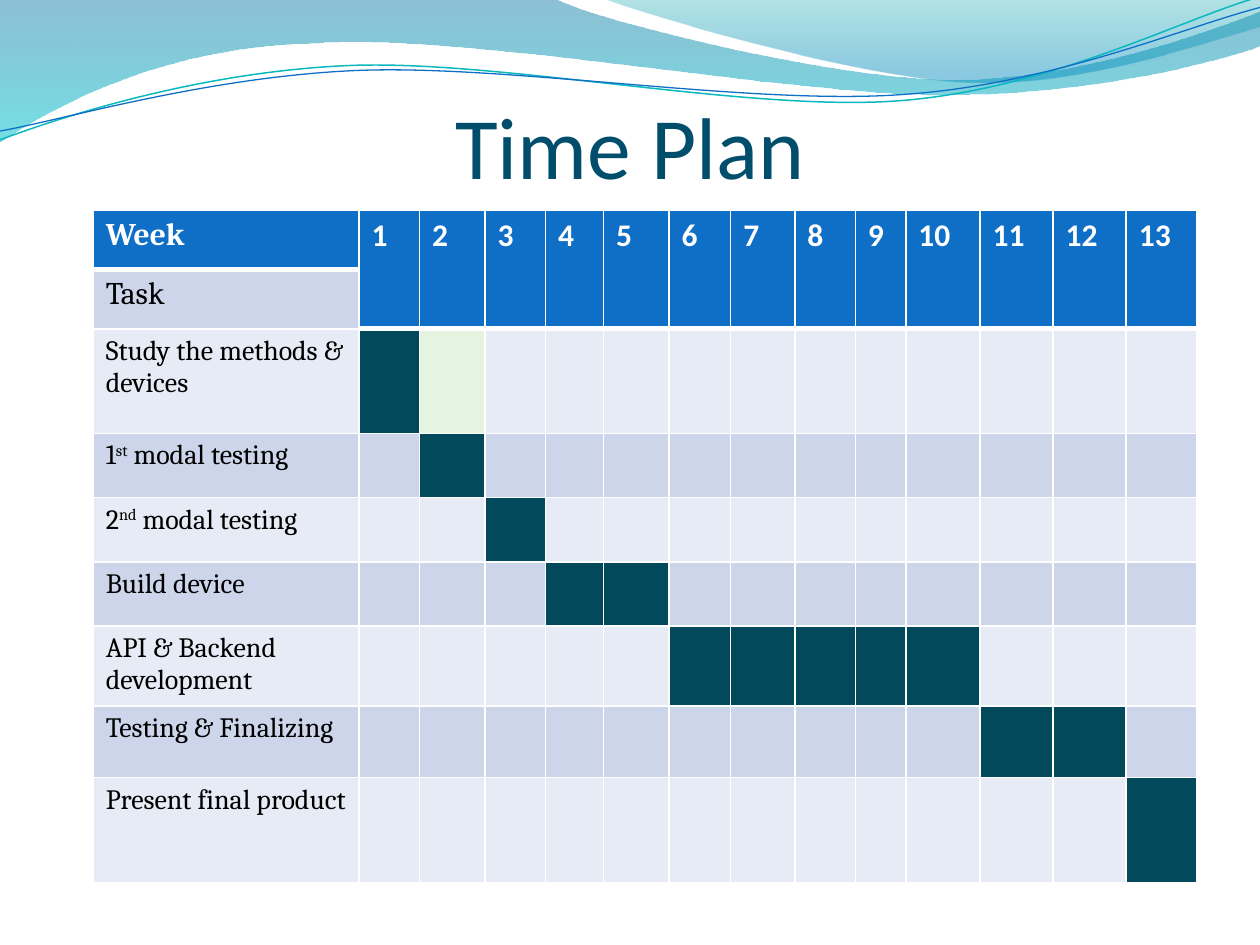
"""Build a project time plan slide with a Gantt-style table under a wave header."""
from math import cos, radians, sin

from lxml import etree
from pptx import Presentation
from pptx.dml.color import RGBColor
from pptx.enum.text import MSO_ANCHOR as Anchor, PP_ALIGN as Align
from pptx.oxml.ns import qn
from pptx.util import Inches, Pt

WHITE = RGBColor(0xFF, 0xFF, 0xFF)
BLACK = RGBColor(0x00, 0x00, 0x00)
TITLE_BLUE = RGBColor(0x00, 0x4E, 0x6C)
HEADER_BLUE = RGBColor(0x0F, 0x6F, 0xC6)
BAR_TEAL = RGBColor(0x03, 0x49, 0x5C)
PALE_GREEN = RGBColor(0xE5, 0xF4, 0xE0)
BAND_DARK = RGBColor(0xCC, 0xD5, 0xEA)
BAND_LIGHT = RGBColor(0xE7, 0xEB, 0xF5)
WAVE_BLUE = RGBColor(0x00, 0x74, 0xA1)
WAVE_CYAN = RGBColor(0x00, 0xC6, 0xCF)
WAVE_TEAL = RGBColor(0x00, 0xA1, 0xA9)
WAVE_SKY = RGBColor(0x00, 0x8B, 0xBF)
LINE_TEAL = RGBColor(0x0A, 0xB8, 0xBF)
TILT = 2.7

presentation = Presentation()
presentation.slide_width = Inches(10)
presentation.slide_height = Inches(7.5)
slide = presentation.slides.add_slide(presentation.slide_layouts[6])


def add_wave(segments, close):
    """Draw straight (2 numbers) and cubic (6 numbers) segments as one outline."""
    vertices = [
        (Inches(segment[i]), Inches(segment[i + 1]))
        for segment in segments for i in range(0, len(segment), 2)
    ]
    builder = slide.shapes.build_freeform(*vertices[0])
    builder.add_line_segments(vertices[1:], close=close)
    shape = builder.convert_to_shape()
    shape.shadow.inherit = False
    lines = iter(list(shape.element.spPr.iter(qn("a:lnTo"))))
    for segment in segments[1:]:
        line = next(lines)
        if len(segment) == 6:
            curve = etree.Element(qn("a:cubicBezTo"))
            line.addprevious(curve)
            for part in (line, next(lines), next(lines)):
                curve.append(part[0])
                part.getparent().remove(part)
    return shape


def add_run(paragraph, text, size, font, color, bold=False):
    run = paragraph.add_run()
    run.text = text
    run.font.size = Pt(size)
    run.font.name = font
    run.font.color.rgb = color
    run.font.bold = bold
    return run


wave_bands = [
    ([(0, 0), (4.4, -0.01), (4.76, 0.17, 6.64, 0.63, 7.58, 0.63),
      (8.53, 0.63, 9.58, 0.26, 10, 0.09), (10.01, 0.36),
      (9.83, 0.44, 8.7, 0.76, 7.46, 0.75), (6.22, 0.75, 3.82, 0.28, 2.57, 0.34),
      (1.29, 0.36, 0.46, 0.83, -0.01, 1.13), (0, 0)],
     [(0, WAVE_BLUE, 45), (1, WAVE_CYAN, 55)]),
    ([(4.79, -0.01), (5.09, 0.11, 6.82, 0.62, 7.69, 0.65),
      (8.56, 0.69, 9.61, 0.32, 10, 0.21), (10, 0), (4.79, -0.01)],
     [(0, WAVE_TEAL, 30), (0.8, WAVE_SKY, 45)]),
]
for segments, stops in wave_bands:
    band = add_wave(segments, True)
    band.line.fill.background()
    band.fill.gradient()
    band.fill.gradient_angle = 270
    for stop, (position, color, opacity) in zip(band.fill.gradient_stops, stops):
        stop.position = position
        stop.color.rgb = color
    color_elements = band.element.spPr.iter(qn("a:srgbClr"))
    for element, (position, color, opacity) in zip(color_elements, stops):
        etree.SubElement(element, qn("a:alpha"), val=str(opacity * 1000))

wave_lines = [
    ([(0, 1.11), (0.48, 0.93, 1.58, 0.57, 2.77, 0.52),
      (3.95, 0.47, 5.93, 0.89, 7.13, 0.8), (8.33, 0.71, 9.38, 0.15, 9.98, -0.02)],
     4.99, 0.58, LINE_TEAL, 0.85),
    ([(0, 1.04), (0.47, 0.96, 1.64, 0.61, 2.83, 0.56),
      (4.03, 0.51, 5.97, 0.84, 7.17, 0.75), (8.36, 0.67, 9.41, 0.21, 10, 0.06)],
     5, 0.59, HEADER_BLUE, 0.75),
]
cosine, sine = cos(radians(TILT)), sin(radians(TILT))
for segments, center_x, center_y, color, width in wave_lines:
    level_segments = []
    for segment in segments:
        level = []
        for x, y in zip(segment[::2], segment[1::2]):
            dx, dy = x - center_x, y - center_y
            level += [center_x + dx * cosine - dy * sine,
                      center_y + dx * sine + dy * cosine]
        level_segments.append(level)
    curve = add_wave(level_segments, False)
    curve.rotation = 360 - TILT
    curve.fill.background()
    curve.line.color.rgb = color
    curve.line.width = Pt(width)

title = slide.shapes.add_textbox(Inches(0.5), Inches(0.31), Inches(9), Inches(1.25))
title_frame = title.text_frame
title_frame.word_wrap = True
title_frame.vertical_anchor = Anchor.BOTTOM
title_frame.margin_left = title_frame.margin_right = title_frame.margin_bottom = 0
title_frame.paragraphs[0].alignment = Align.CENTER
add_run(title_frame.paragraphs[0], "Time Plan", 50, "Calibri", TITLE_BLUE)

column_widths = [2.11, 0.48, 0.52, 0.48, 0.46, 0.52, 0.49,
                 0.51, 0.48, 0.4, 0.59, 0.58, 0.58, 0.56]
row_heights = [0.47, 0.47, 0.83, 0.51, 0.51, 0.51, 0.51, 0.57, 0.83]
tasks = [
    (["Study the methods & devices"], 1, 1),
    (["1", "st", " modal testing"], 2, 2),
    (["2", "nd", " modal testing"], 3, 3),
    (["Build device"], 4, 5),
    (["API & Backend development"], 6, 10),
    (["Testing & Finalizing"], 11, 12),
    (["Present final product"], 13, 13),
]

table_frame = slide.shapes.add_table(
    len(row_heights), len(column_widths),
    Inches(0.74), Inches(1.67), Inches(8.76), Inches(5.39),
)
table = table_frame.table
table.first_row = False
table.horz_banding = False
for column, width in zip(table.columns, column_widths):
    column.width = Inches(width)
for row, height in zip(table.rows, row_heights):
    row.height = Inches(height)
table_frame.height = Inches(5.39)

for row_index in range(len(row_heights)):
    for week in range(len(column_widths)):
        cell = table.cell(row_index, week)
        header_end = 1 if week else 0
        border_widths = {
            "a:lnL": 1,
            "a:lnR": 1,
            "a:lnT": 3 if row_index == header_end + 1 else 1,
            "a:lnB": 3 if row_index <= header_end else 1,
        }
        properties = cell._tc.get_or_add_tcPr()
        for tag, width in border_widths.items():
            border = etree.SubElement(properties, qn(tag), w=str(Pt(width)))
            border_fill = etree.SubElement(border, qn("a:solidFill"))
            etree.SubElement(border_fill, qn("a:srgbClr"), val=str(WHITE))
        cell.fill.solid()
        if row_index <= header_end:
            color = HEADER_BLUE
        else:
            color = BAND_DARK if row_index % 2 else BAND_LIGHT
        cell.fill.fore_color.rgb = color

add_run(table.cell(0, 0).text_frame.paragraphs[0], "Week", 18, "Cambria", WHITE, True)
add_run(table.cell(1, 0).text_frame.paragraphs[0], "Task", 18, "Cambria", BLACK)
for week in range(1, len(column_widths)):
    header = table.cell(0, week)
    header.merge(table.cell(1, week))
    add_run(header.text_frame.paragraphs[0], str(week), 18, "Calibri", WHITE, True)

for row_index, (texts, first_week, last_week) in enumerate(tasks, start=2):
    paragraph = table.cell(row_index, 0).text_frame.paragraphs[0]
    for text in texts:
        run = add_run(paragraph, text, 16, "Cambria", BLACK)
        if text in ("st", "nd"):
            run.font._element.set("baseline", "30000")
    for week in range(first_week, last_week + 1):
        table.cell(row_index, week).fill.fore_color.rgb = BAR_TEAL
table.cell(2, 2).fill.fore_color.rgb = PALE_GREEN

presentation.save("out.pptx")
